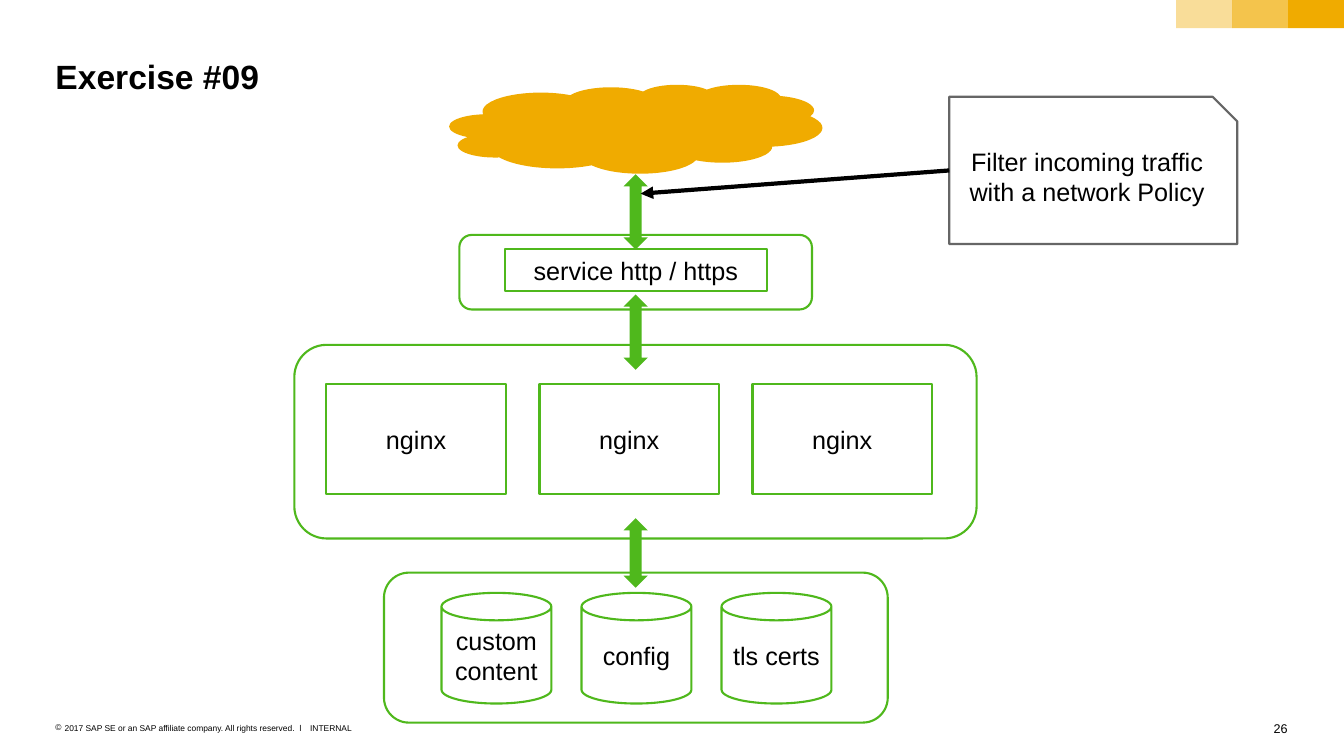
from lxml.etree import SubElement
from pptx import Presentation
from pptx.dml.color import RGBColor
from pptx.enum.shapes import MSO_CONNECTOR, MSO_SHAPE as Preset
from pptx.enum.text import MSO_ANCHOR as Anchor, PP_ALIGN as Align
from pptx.oxml.ns import qn
from pptx.util import Cm, Pt

GREEN, GOLD, GREY, BLACK, WHITE = "4FB81C", "F0AB00", "666666", "000000", "FFFFFF"

TITLE = "Exercise #09"
COPYRIGHT = "2017 SAP SE or an SAP affiliate company. All rights reserved.  ǀ"
CLASSIFICATION = "INTERNAL"
PAGE = "26"
NOTE = "Filter incoming traffic with a network Policy"

# Lengths in cm: (left, top, width, height); pitch is the step between items
TIERS = [
    dict(frame=(7.42, 8.69, 17.2, 4.88), kind=Preset.RECTANGLE,
         first=(8.23, 9.68, 4.52, 2.77), pitch=5.37,
         labels=["nginx", "nginx", "nginx"]),
    dict(frame=(9.68, 14.43, 12.7, 3.78), kind=Preset.CAN,
         first=(11.13, 14.94, 2.77, 2.79), pitch=3.53,
         labels=["custom content", "config", "tls certs"]),
    dict(frame=(11.58, 5.92, 8.89, 1.88), kind=Preset.RECTANGLE,
         first=(12.73, 6.27, 6.6, 1.07), pitch=0,
         labels=["service http / https"]),
]
CLOUD = (11.33, 2.13, 9.4, 2.24)
ARROW_LEFT, ARROW_WIDTH = 15.72, 0.61
ARROWS = [(4.39, 1.9), (7.42, 1.9), (13.06, 1.75)]  # top, height
NOTE_BOX = (23.93, 2.44, 7.26, 3.71)
POINTER_TIP = (16.15, 4.88)
SLIDE_WIDTH, SLIDE_HEIGHT = 33.88, 19.05
BAR_WIDTH, BAR_HEIGHT = 1.41, 0.71
BAR_OPACITY = [40, 70, 100]  # percent, left to right

prs = Presentation()
prs.slide_width, prs.slide_height = Cm(SLIDE_WIDTH), Cm(SLIDE_HEIGHT)
slide = prs.slides.add_slide(prs.slide_layouts[6])


def rgb(colour):
    return RGBColor.from_string(colour)


def write(shape, text, size, align, bold=False):
    frame = shape.text_frame
    frame.text = text
    paragraph = frame.paragraphs[0]
    paragraph.alignment = align
    font = paragraph.runs[0].font
    font.name, font.size, font.bold = "Arial", Pt(size), bold
    font.color.rgb = rgb(BLACK)
    return paragraph


def add_label(box, text, size, align=Align.LEFT, bold=False, wrap=True):
    label = slide.shapes.add_textbox(*map(Cm, box))
    frame = label.text_frame
    frame.word_wrap = wrap
    frame.margin_left = frame.margin_right = frame.margin_top = frame.margin_bottom = 0
    return write(label, text, size, align, bold)


def add_part(kind, box, fill, line=None, text=None):
    part = slide.shapes.add_shape(kind, *map(Cm, box))
    part.shadow.inherit = False
    part.fill.solid()
    part.fill.fore_color.rgb = rgb(fill)
    if line:
        part.line.color.rgb = rgb(line)
        part.line.width = Pt(1.5)
    else:
        part.line.fill.background()
    if text:
        frame = part.text_frame
        frame.word_wrap = True
        frame.vertical_anchor = Anchor.MIDDLE
        frame.margin_left = frame.margin_right = Cm(0.25)
        frame.margin_top = frame.margin_bottom = Cm(0.2)
        write(part, text, 18, Align.CENTER)
    return part


# Footer
add_label((32.08, 18.16, 0.38, 0.38), PAGE, 9, Align.RIGHT, wrap=False)
add_label((7.82, 18.21, 1.07, 0.25), CLASSIFICATION, 6, wrap=False)
notice = add_label((1.4, 18.21, 6.3, 0.25), COPYRIGHT, 6)
indent = Cm(0.23)
properties = notice._p.get_or_add_pPr()
properties.set("marL", str(indent))
properties.set("indent", str(-indent))
SubElement(properties, qn("a:buFont"), typeface="Arial")
SubElement(properties, qn("a:buChar"), char="©")

# Corner bars and title
for i, opacity in enumerate(BAR_OPACITY):
    left = SLIDE_WIDTH - (len(BAR_OPACITY) - i) * BAR_WIDTH
    bar = add_part(Preset.RECTANGLE, (left, 0, BAR_WIDTH, BAR_HEIGHT), GOLD)
    if opacity < 100:
        colour = bar._element.spPr.find(qn("a:solidFill"))[0]
        SubElement(colour, qn("a:alpha"), val=str(opacity * 1000))
add_label((1.4, 1.4, 31.06, 1.02), TITLE, 24, bold=True)

# Diagram
add_part(Preset.CLOUD, CLOUD, GOLD)
for tier in TIERS:
    add_part(Preset.ROUNDED_RECTANGLE, tier["frame"], WHITE, GREEN)
    left, top, width, height = tier["first"]
    for i, label in enumerate(tier["labels"]):
        box = (left + i * tier["pitch"], top, width, height)
        add_part(tier["kind"], box, WHITE, GREEN, label)
for top, height in ARROWS:
    add_part(Preset.UP_DOWN_ARROW, (ARROW_LEFT, top, ARROW_WIDTH, height), GREEN)

# Note with its pointer
note = add_part(Preset.SNIP_1_RECTANGLE, NOTE_BOX, WHITE, GREY, NOTE)
left, top, width, height = NOTE_BOX
pointer = slide.shapes.add_connector(
    MSO_CONNECTOR.STRAIGHT, Cm(left), Cm(top + height / 2), *map(Cm, POINTER_TIP))
pointer.begin_connect(note, 1)
pointer.line.color.rgb = rgb(BLACK)
pointer.line.width = Pt(3)
SubElement(pointer.line._get_or_add_ln(), qn("a:tailEnd"), type="triangle")
SubElement(pointer._element.spPr, qn("a:effectLst"))

prs.save("out.pptx")
